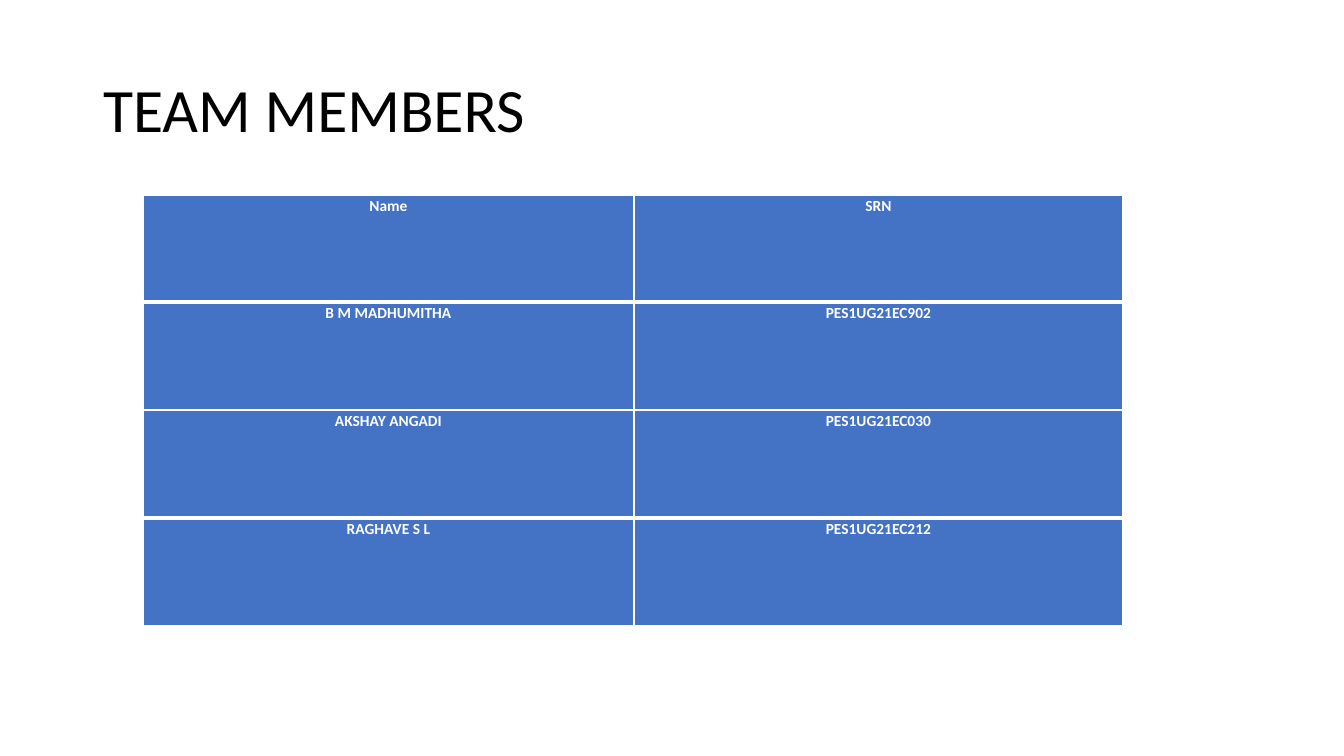
from lxml.etree import SubElement
from pptx import Presentation
from pptx.dml.color import RGBColor
from pptx.enum.text import MSO_ANCHOR as Anchor, PP_ALIGN as Align
from pptx.oxml.ns import qn
from pptx.util import Pt

PX = 914400 / 100.8  # EMU per px
BLACK = RGBColor(0x00, 0x00, 0x00)
WHITE = RGBColor(0xFF, 0xFF, 0xFF)
BLUE = RGBColor(0x44, 0x72, 0xC4)

SLIDE_SIZE = (1344, 756)
TITLE_BOX = (93, 40, 1159, 146)
TABLE_BOX = (143, 195, 980, 431)
COLUMN_WIDTHS = (491, 489)
ROW_HEIGHTS = (107, 108, 108, 108)
THICK_RULES = (1, 3)  # rules below the heading and above the last member
MEMBERS = (
    ("Name", "SRN"),
    ("B M MADHUMITHA", "PES1UG21EC902"),
    ("AKSHAY ANGADI", "PES1UG21EC030"),
    ("RAGHAVE S L", "PES1UG21EC212"),
)

TITLE_FONT = {"name": "Calibri", "size": Pt(44), "bold": False}
TITLE_PARAGRAPH = {"alignment": Align.LEFT, "line_spacing": 0.9}
CELL_FONT = {"name": "Calibri", "size": Pt(11), "bold": True}
CELL_PARAGRAPH = {"alignment": Align.CENTER, "line_spacing": 1.07,
                  "space_before": Pt(5)}
CELL_FORMAT = {"margin_left": 0, "margin_right": 0, "margin_top": 0,
               "margin_bottom": 0, "vertical_anchor": Anchor.TOP}


def emu(px):
    return round(px * PX)


def apply(target, values):
    for name, value in values.items():
        setattr(target, name, value)


def write(frame, text, paragraph_format, font_format, color):
    paragraph = frame.paragraphs[0]
    apply(paragraph, paragraph_format)
    run = paragraph.add_run()
    run.text = text
    apply(run.font, font_format)
    run.font.color.rgb = color


def set_borders(cell, top, bottom):
    properties = cell._tc.get_or_add_tcPr()
    widths = {"a:lnL": 1, "a:lnR": 1, "a:lnT": top, "a:lnB": bottom}
    for position, (tag, width) in enumerate(widths.items()):
        line = SubElement(properties, qn(tag), w=str(Pt(width)))
        fill = SubElement(line, qn("a:solidFill"))
        SubElement(fill, qn("a:srgbClr"), val=str(WHITE))
        properties.insert(position, line)  # borders come before the fill


def place_title(slide, box):
    title = slide.shapes.title
    apply(title, dict(zip(("left", "top", "width", "height"), map(emu, box))))
    title.text_frame.vertical_anchor = Anchor.MIDDLE
    write(title.text_frame, "TEAM MEMBERS", TITLE_PARAGRAPH, TITLE_FONT, BLACK)


def place_members(slide, box):
    table = slide.shapes.add_table(
        len(MEMBERS), len(COLUMN_WIDTHS), *map(emu, box)).table
    for column, width in zip(table.columns, COLUMN_WIDTHS):
        column.width = emu(width)
    for row, height in zip(table.rows, ROW_HEIGHTS):
        row.height = emu(height)

    # Cells
    for row_index, member in enumerate(MEMBERS):
        top, bottom = (3 if rule in THICK_RULES else 1
                       for rule in (row_index, row_index + 1))
        for column_index, text in enumerate(member):
            cell = table.cell(row_index, column_index)
            apply(cell, CELL_FORMAT)
            cell.fill.solid()
            cell.fill.fore_color.rgb = BLUE
            set_borders(cell, top, bottom)
            write(cell.text_frame, text, CELL_PARAGRAPH, CELL_FONT, WHITE)


def main():
    presentation = Presentation()
    presentation.slide_width, presentation.slide_height = map(emu, SLIDE_SIZE)
    slide = presentation.slides.add_slide(presentation.slide_layouts[5])
    place_title(slide, TITLE_BOX)
    place_members(slide, TABLE_BOX)
    presentation.save("out.pptx")


if __name__ == "__main__":
    main()
